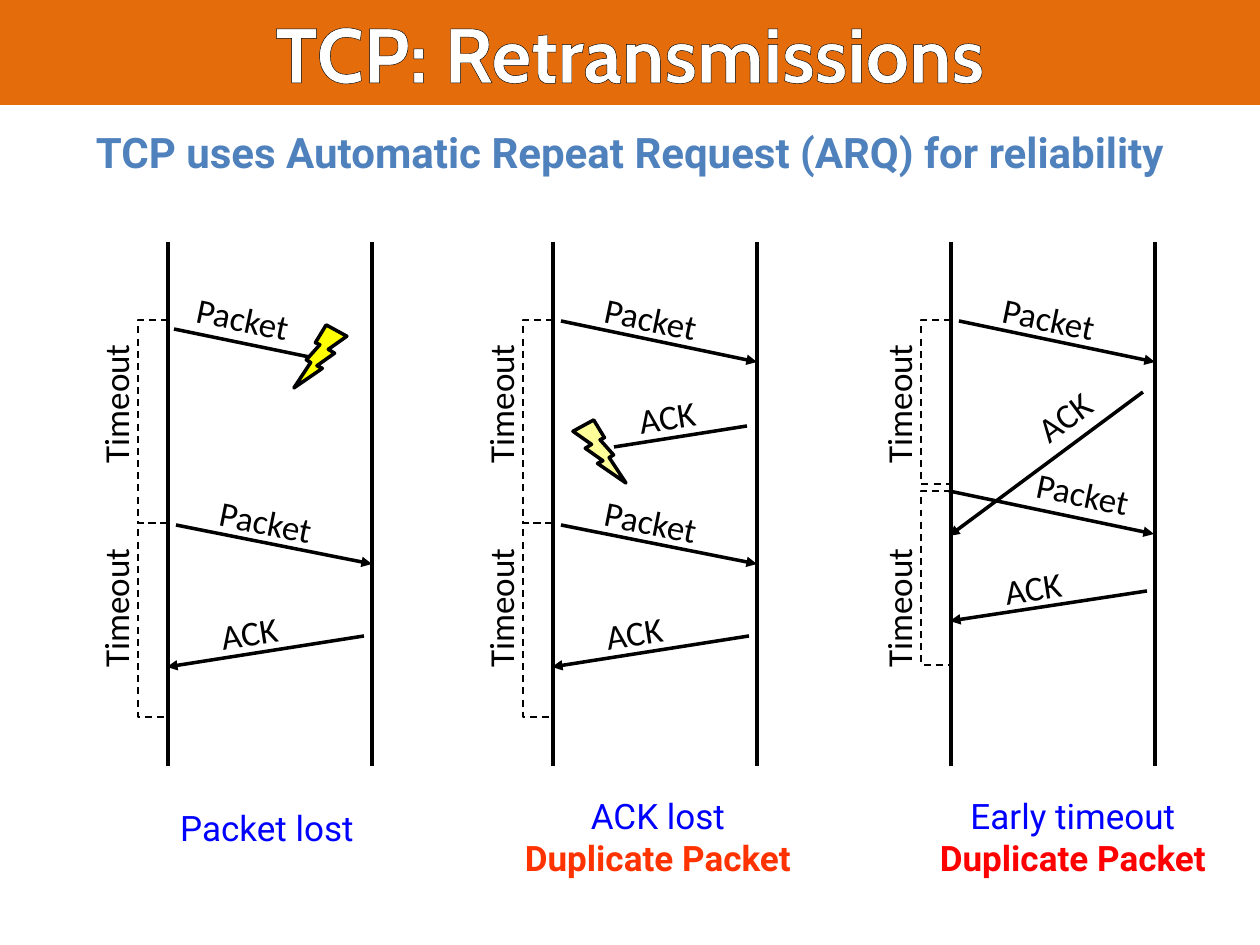
import math

import pptx
import pptx.dml.color
import pptx.enum.dml
import pptx.enum.shapes
import pptx.enum.text
import pptx.oxml
import pptx.oxml.ns
import pptx.util

PX = 914400 // 126
COLORS = {"bar": "E46C0A", "white": "FFFFFF", "black": "000000", "subtitle": "4F81BD",
          "case": "0000FF", "orange": "FF3300", "red": "FF0000",
          "yellow": "FFFF00", "pale": "FFFF99"}

TITLE = "TCP: Retransmissions"
SUBTITLE = "TCP uses Automatic Repeat Request (ARQ) for reliability"
LIFELINE_TOP, LIFELINE_BOTTOM, LIFELINE_GAP = 242, 766, 204
BRACKET_DEPTH, TIMEOUT_OFFSET = 30, 53
BOLT_SIZE = (53, 63)

# Message fields: text, start, end, label centre, arrowhead; x counts from the sender's lifeline.
RESENT_ACK = ("ACK", (196, 636), (-1, 667), (81, 632), True)
FIRST_PACKET = ("Packet", (8, 321), (204, 362), (98, 318), True)
RESENT_PACKET = ("Packet", (8, 525), (204, 564), (98, 521), True)
FULL_TIMEOUTS = [(320, 523, 404), (523, 717, 608)]
CASES = [
    {"sender": 168, "timeouts": FULL_TIMEOUTS,
     "messages": [("Packet", (6, 329), (151, 359), (75, 318), False), RESENT_PACKET, RESENT_ACK],
     "bolt": (126, 325, "yellow", True),
     "caption": (99, 827, [("Packet lost", "case", False)])},
    {"sender": 553, "timeouts": FULL_TIMEOUTS,
     "messages": [FIRST_PACKET, ("ACK", (194, 426), (61, 447), (114, 416), False),
                  RESENT_PACKET, RESENT_ACK],
     "bolt": (20, 420, "pale", False),
     "caption": (105, 836, [("ACK lost", "case", False), ("Duplicate Packet", "orange", True)])},
    {"sender": 951, "timeouts": [(320, 484, 404), (491, 665, 608)],
     "messages": [FIRST_PACKET, ("ACK", (192, 392), (-2, 536), (113, 416), True),
                  ("Packet", (-2, 491), (203, 534), (132, 493), True),
                  ("ACK", (196, 591), (-1, 621), (82, 587), True)],
     "bolt": None,
     "caption": (122, 836, [("Early timeout", "case", False), ("Duplicate Packet", "red", True)])},
]


def rgb(color):
    return pptx.dml.color.RGBColor.from_string(COLORS[color])


def write(shape, lines, font, size, wrap=False):
    frame = shape.text_frame
    frame.word_wrap = wrap
    frame.vertical_anchor = pptx.enum.text.MSO_ANCHOR.MIDDLE
    for index, (text, color, bold) in enumerate(lines):
        paragraph = frame.add_paragraph() if index else frame.paragraphs[0]
        paragraph.alignment = pptx.enum.text.PP_ALIGN.CENTER
        run = paragraph.add_run()
        run.text = text
        for key, value in {"name": font, "size": pptx.util.Pt(size), "bold": bold}.items():
            setattr(run.font, key, value)
        run.font.color.rgb = rgb(color)


def centred_text(slide, x, y, width, height, lines, font="Calibri", size=20, angle=0):
    label = slide.shapes.add_textbox((x - width // 2) * PX, (y - height // 2) * PX,
                                     width * PX, height * PX)
    label.rotation = angle
    write(label, lines, font, size)


def stroke(shape, width):
    shape.line.color.rgb = rgb("black")
    shape.line.width = pptx.util.Pt(width)


def add_line(slide, start, end, arrow=False):
    line = slide.shapes.add_connector(pptx.enum.shapes.MSO_CONNECTOR.STRAIGHT,
                                      *(value * PX for value in start + end))
    stroke(line, 2)
    properties = line._element.spPr
    pptx.oxml.ns.qn("a:effectLst")
    properties.append(pptx.oxml.parse_xml(
        f'<a:effectLst {pptx.oxml.ns.nsdecls("a")}/>'))
    if arrow:
        line.line._get_or_add_ln().append(pptx.oxml.parse_xml(
            f'<a:tailEnd {pptx.oxml.ns.nsdecls("a")} type="triangle"/>'))


def add_message(slide, sender, text, start, end, label, arrow):
    (x1, y1), (x2, y2) = start, end
    add_line(slide, (sender + x1, y1), (sender + x2, y2), arrow)
    angle = round(math.degrees(math.atan((y2 - y1) / (x2 - x1))), 1)
    centred_text(slide, sender + label[0], label[1], 132, 54,
                 [(text, "black", False)], angle=angle)


def add_timeout(slide, sender, top, bottom, middle):
    left = sender - BRACKET_DEPTH
    outline = slide.shapes.build_freeform(sender, top, scale=PX)
    outline.add_line_segments([(left, top), (left, bottom), (sender, bottom)], close=False)
    bracket = outline.convert_to_shape()
    bracket.shadow.inherit = False
    bracket.fill.background()
    stroke(bracket, 1)
    bracket.line.dash_style = pptx.enum.dml.MSO_LINE.DASH
    centred_text(slide, sender - TIMEOUT_OFFSET, middle, 168, 54,
                 [("Timeout", "black", False)], angle=270)


def add_bolt(slide, sender, x, y, color, mirrored):
    bolt = slide.shapes.add_shape(pptx.enum.shapes.MSO_SHAPE.LIGHTNING_BOLT,
                                  (sender + x) * PX, y * PX, *(side * PX for side in BOLT_SIZE))
    bolt.shadow.inherit = False
    bolt.fill.solid()
    bolt.fill.fore_color.rgb = rgb(color)
    stroke(bolt, 2)
    if mirrored:
        bolt._element.spPr.xfrm.set("flipH", "1")


def add_title(slide):
    title = slide.shapes.title
    for key, value in {"left": 0, "top": -1, "width": 1260, "height": 106}.items():
        setattr(title, key, value * PX)
    title.fill.solid()
    title.fill.fore_color.rgb = rgb("bar")
    write(title, [(TITLE, "white", True)], "Cabin", 44, wrap=True)
    run_format = title.text_frame.paragraphs[0].runs[0].font._element
    run_format.insert(0, pptx.oxml.parse_xml(
        f'<a:ln {pptx.oxml.ns.nsdecls("a")} w="9525"><a:solidFill>'
        f'<a:srgbClr val="{COLORS["black"]}"/></a:solidFill></a:ln>'))


def add_case(slide, case):
    sender = case["sender"]
    for message in case["messages"]:
        add_message(slide, sender, *message)
    for timeout in case["timeouts"]:
        add_timeout(slide, sender, *timeout)
    if case["bolt"]:
        add_bolt(slide, sender, *case["bolt"])
    for x in (sender, sender + LIFELINE_GAP):
        add_line(slide, (x, LIFELINE_TOP), (x, LIFELINE_BOTTOM))
    x, y, lines = case["caption"]
    centred_text(slide, sender + x, y, 292, 42 * len(lines) + 13, lines, font="Roboto")


def main():
    deck = pptx.Presentation()
    deck.slide_width, deck.slide_height = 1260 * PX, 945 * PX
    slide = deck.slides.add_slide(deck.slide_layouts[5])
    add_title(slide)
    for case in CASES:
        add_case(slide, case)
    centred_text(slide, 630, 152, 1260, 94, [(SUBTITLE, "subtitle", True)], "Roboto", 24)
    deck.save("out.pptx")


if __name__ == "__main__":
    main()
